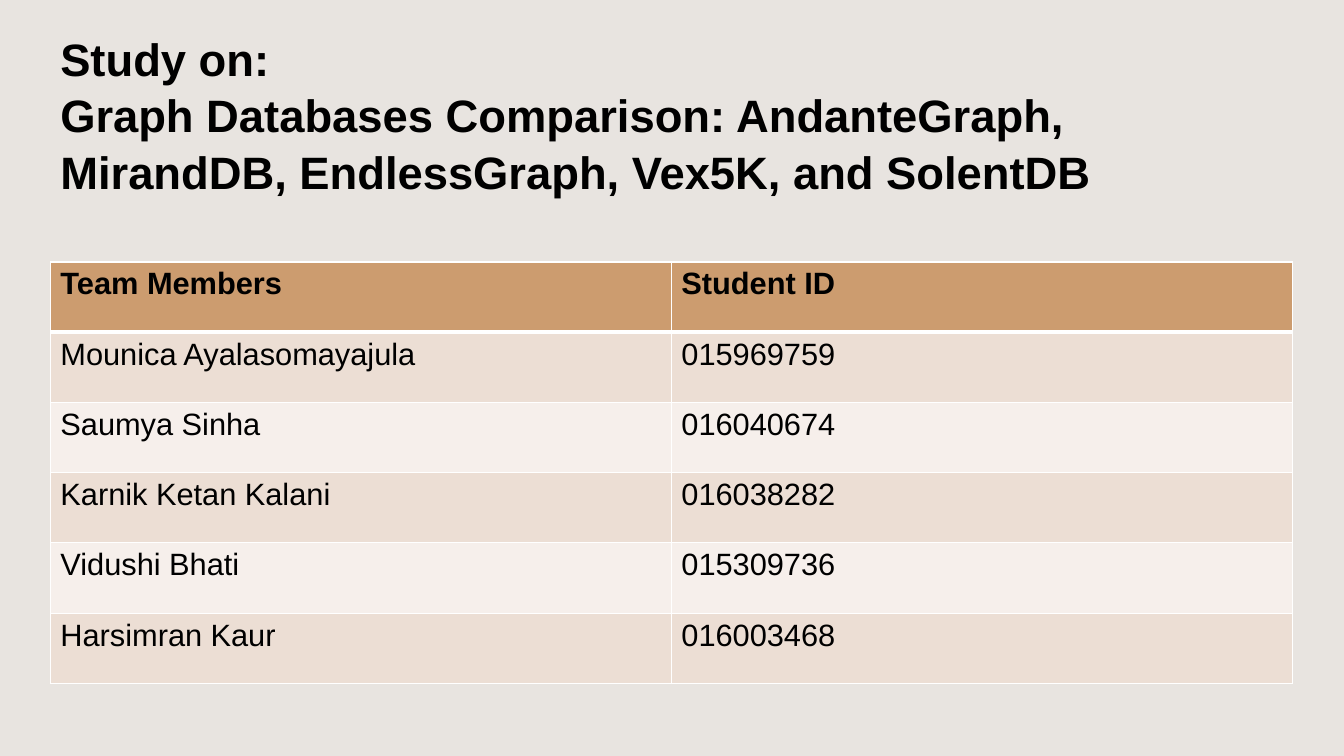
from lxml import etree
from pptx import Presentation
from pptx import util as u
from pptx.dml.color import RGBColor
from pptx.enum import text
from pptx.oxml.ns import qn

MEMBERS = [
    ("Team Members", "Student ID"),
    ("Mounica Ayalasomayajula", "015969759"),
    ("Saumya Sinha", "016040674"),
    ("Karnik Ketan Kalani", "016038282"),
    ("Vidushi Bhati", "015309736"),
    ("Harsimran Kaur", "016003468"),
]
HEADER_FILL = "CC9C6F"
BAND_FILLS = ["F6EFEB", "ECDED4"]
COLUMN_WIDTH, ROW_HEIGHT = u.Cm(15.65), u.Cm(1.77)


def write(frame, words, size, bold=False, color="000000", spacing=None):
    """Fill a text frame with one formatted paragraph."""
    frame.word_wrap = True
    para = frame.paragraphs[0]
    para.text = words
    para.line_spacing = spacing
    for span in para.runs:
        span.font.name = "Arial"
        span.font.size = u.Pt(size)
        span.font.bold = bold
        span.font.color.rgb = RGBColor.from_string(color)


def add_border(cell, side, points, color="FFFFFF"):
    line = etree.SubElement(cell._tc.get_or_add_tcPr(), qn(f"a:ln{side}"), w=str(u.Pt(points)))
    fill = etree.SubElement(line, qn("a:solidFill"))
    etree.SubElement(fill, qn("a:srgbClr"), val=color)


deck = Presentation()
deck.slide_width, deck.slide_height = u.Cm(33.87), u.Cm(19.05)
page = deck.slides.add_slide(deck.slide_layouts[6])
page.background.fill.solid()
page.background.fill.fore_color.rgb = RGBColor.from_string("E8E4E0")

# Title
title = page.shapes.add_textbox(u.Cm(1.27), u.Cm(1.02), u.Cm(30.28), u.Cm(3.68))
title.text_frame.vertical_anchor = text.MSO_ANCHOR.MIDDLE
write(
    title.text_frame,
    "Study on: \vGraph Databases Comparison: AndanteGraph, "
    "MirandDB, EndlessGraph, Vex5K, and SolentDB",
    size=32.4, bold=True, spacing=1.04,
)

# Team table
table = page.shapes.add_table(
    len(MEMBERS), 2, u.Cm(1.27), u.Cm(6.6), COLUMN_WIDTH * 2, ROW_HEIGHT * len(MEMBERS)
).table
for column in table.columns:
    column.width = COLUMN_WIDTH
for row, member in enumerate(MEMBERS):
    table.rows[row].height = ROW_HEIGHT
    for column, words in enumerate(member):
        cell = table.cell(row, column)
        write(cell.text_frame, words, size=22, bold=row == 0)
        add_border(cell, "L", 1)
        add_border(cell, "R", 1)
        add_border(cell, "T", 3 if row == 1 else 1)
        add_border(cell, "B", 3 if row == 0 else 1)
        cell.fill.solid()
        cell.fill.fore_color.rgb = RGBColor.from_string(
            BAND_FILLS[row % 2] if row else HEADER_FILL
        )

deck.save("out.pptx")
